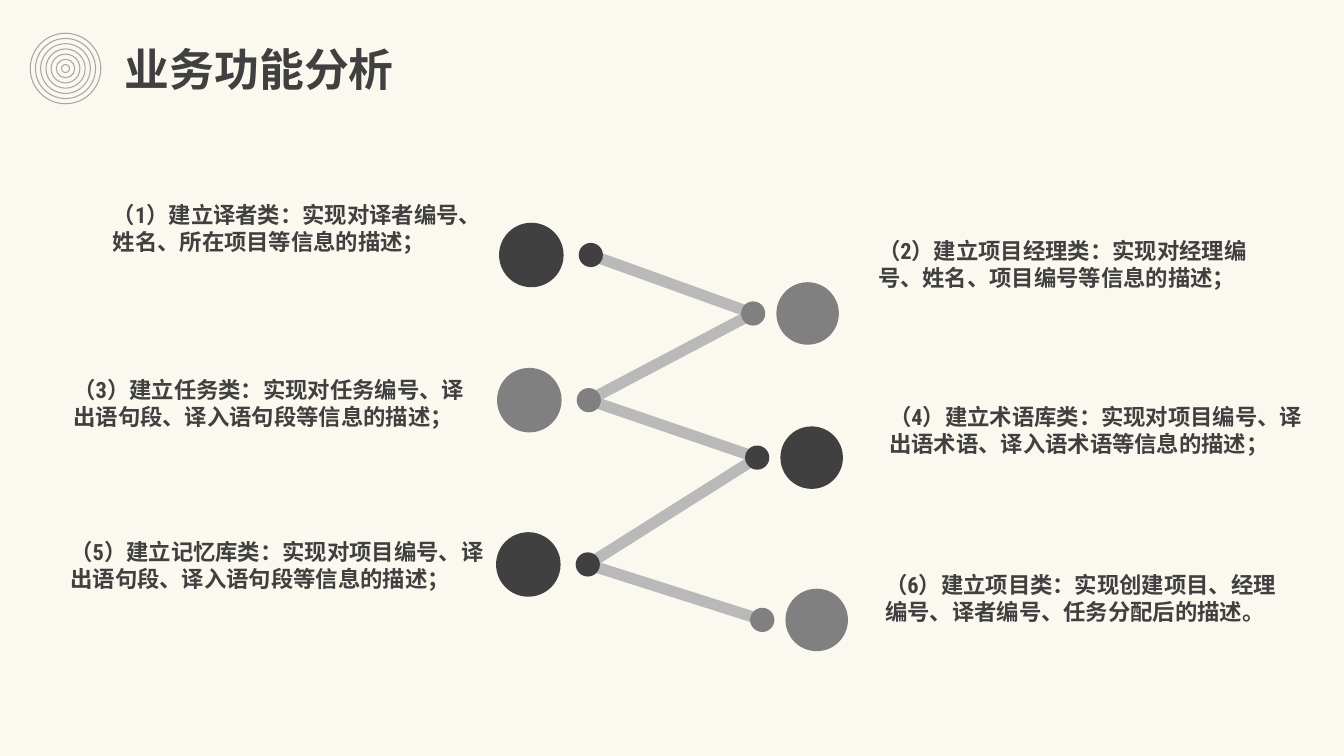
from itertools import pairwise

from lxml import etree
from pptx import Presentation
from pptx.dml.color import RGBColor
from pptx.enum import lang, shapes
from pptx.oxml.ns import qn
from pptx.util import Inches, Pt

CREAM = RGBColor(0xFB, 0xF8, 0xEF)
DARK = RGBColor(0x40, 0x40, 0x40)
MID = RGBColor(0x80, 0x80, 0x80)
RING_GRAY = RGBColor(0xA6, 0xA6, 0xA6)
LINK_GRAY = RGBColor(0xB9, 0xB9, 0xB9)
FONT = "Roboto Condensed"

DOT_SIZE = 0.24
# Disc diameter and its offset from the dot, for each side
LEFT_DISC = (0.64, -0.59)
RIGHT_DISC = (0.62, 0.54)

# Dot centre, disc, colour, text box (left, top, width, height), wording
FUNCTIONS = [
    ((5.86, 2.53), LEFT_DISC, DARK, (1.02, 1.95, 3.7, 0.64),
     "（1）建立译者类：实现对译者编号、姓名、所在项目等信息的描述；"),
    ((7.47, 3.11), RIGHT_DISC, MID, (8.61, 2.3, 3.95, 1.18),
     "（2）建立项目经理类：实现对经理编号、姓名、项目编号等信息的描述；"),
    ((5.84, 3.97), LEFT_DISC, MID, (0.63, 3.68, 4.16, 0.64),
     "（3）建立任务类：实现对任务编号、译出语句段、译入语句段等信息的描述；"),
    ((7.51, 4.54), RIGHT_DISC, DARK, (8.72, 3.95, 4.31, 1.18),
     "（4）建立术语库类：实现对项目编号、译出语术语、译入语术语等信息的描述；"),
    ((5.83, 5.6), LEFT_DISC, DARK, (0.6, 5.29, 4.4, 1.18),
     "（5）建立记忆库类：实现对项目编号、译出语句段、译入语句段等信息的描述；"),
    ((7.56, 6.15), RIGHT_DISC, MID, (8.68, 5.62, 4.22, 1.18),
     "（6）建立项目类：实现创建项目、经理编号、译者编号、任务分配后的描述。"),
]


def add_text(slide, box, wording, size=16, color=DARK, bold=True):
    frame = slide.shapes.add_textbox(*map(Inches, box)).text_frame
    frame.word_wrap = True
    run = frame.paragraphs[0].add_run()
    run.text = wording
    run.font.name = FONT
    run.font.size = Pt(size)
    run.font.bold = bold
    run.font.color.rgb = color
    run.font.language_id = lang.MSO_LANGUAGE_ID.SIMPLIFIED_CHINESE


def add_circle(slide, center, diameter, fill, outline=None):
    x, y = center
    circle = slide.shapes.add_shape(
        shapes.MSO_SHAPE.OVAL, Inches(x - diameter / 2), Inches(y - diameter / 2),
        Inches(diameter), Inches(diameter))
    circle.shadow.inherit = False
    circle.fill.solid()
    circle.fill.fore_color.rgb = fill
    if outline is None:
        circle.line.fill.background()
    else:
        circle.line.color.rgb = outline
        circle.line.width = Pt(0)


def add_link(slide, start, end):
    link = slide.shapes.add_connector(
        shapes.MSO_CONNECTOR.STRAIGHT, *map(Inches, (*start, *end)))
    link.line.color.rgb = LINK_GRAY
    link.line.width = Pt(8)
    etree.SubElement(link._element.spPr, qn("a:effectLst"))


def main():
    deck = Presentation()
    deck.slide_width, deck.slide_height = Inches(13.33), Inches(7.5)
    slide = deck.slides.add_slide(deck.slide_layouts[6])
    slide.background.fill.solid()
    slide.background.fill.fore_color.rgb = CREAM

    # Heading with concentric rings
    for ring in range(7):
        add_circle(slide, (0.65, 0.68), 0.7 - ring * 0.62 / 6, CREAM, RING_GRAY)
    add_text(slide, (1.14, 0.36, 5.57, 1.18), "业务功能分析", size=32)

    # Zigzag between neighbouring dots
    dots = [function[0] for function in FUNCTIONS]
    for start, end in pairwise(dots):
        add_link(slide, start, end)

    # Dot, disc and description of each function
    for dot, (disc_size, offset), color, box, wording in FUNCTIONS:
        add_circle(slide, dot, DOT_SIZE, color)
        add_circle(slide, (dot[0] + offset, dot[1]), disc_size, color)
        add_text(slide, box, wording)

    deck.save("out.pptx")


if __name__ == "__main__":
    main()
